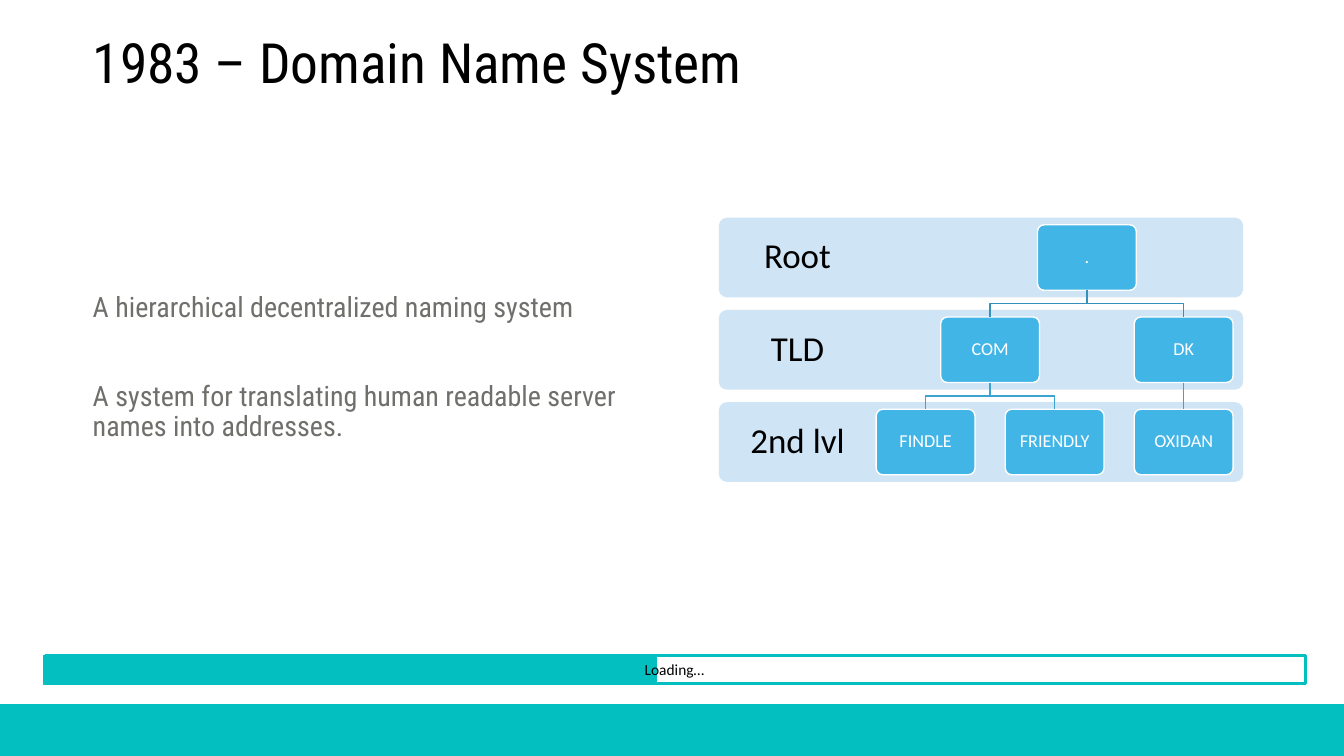
"""Build the Domain Name System slide with its name tree and loading bar."""
from dataclasses import dataclass

from pptx import Presentation
from pptx.dml.color import RGBColor
from pptx.enum.shapes import MSO_CONNECTOR, MSO_SHAPE
from pptx.enum.text import MSO_ANCHOR, PP_ALIGN
from pptx.oxml.ns import qn
from pptx.util import Inches, Pt

TITLE = "1983 – Domain Name System"
STATEMENTS = [
    "A hierarchical decentralized naming system",
    "A system for translating human readable server names into addresses.",
]
LEVELS = ["Root", "TLD", "2nd lvl"]
NAME_TREE = (".", [
    ("COM", [("FINDLE", []), ("FRIENDLY", [])]),
    ("DK", [("OXIDAN", [])]),
])
LOADING = "Loading…"
LOADED_BLOCKS = 6


@dataclass(frozen=True)
class Theme:
    """Colours, fonts and type sizes."""
    teal: str = "04BFBF"
    band: str = "CFE5F6"
    node: str = "42B5E7"
    branches: tuple = ("3591B9", "3CA4D2")
    black: str = "000000"
    white: str = "FFFFFF"
    grey: str = "6F6F6C"
    heading_font: str = "Roboto Condensed"
    diagram_font: str = "Calibri"
    title_size: float = 39.6
    body_size: float = 20
    level_size: float = 25
    node_size: float = 13
    loading_size: float = 11


THEME = Theme()
BAND_LEFT, BAND_TOP, BAND_WIDTH, BAND_HEIGHT = 7.13, 2.16, 5.2, 0.79
LEVEL_PITCH, LEVEL_LABEL_WIDTH = 0.915, 1.56
NODE_WIDTH, NODE_HEIGHT = 0.98, 0.65
NODE_INSET = (BAND_HEIGHT - NODE_HEIGHT) / 2
FIRST_LEAF_CENTRE, LEAF_PITCH = 9.18, 1.28
BLOCK_LEFT, BLOCK_TOP, BLOCK_PITCH = 0.46, 6.51, 1.01

prs = Presentation()
prs.slide_width, prs.slide_height = Inches(13.33), Inches(7.5)
slide = prs.slides.add_slide(prs.slide_layouts[6])


def rgb(value):
    return RGBColor.from_string(value)


def add_box(place, fill=None, line=None, line_width=1.0, corner=None):
    kind = MSO_SHAPE.RECTANGLE if corner is None else MSO_SHAPE.ROUNDED_RECTANGLE
    box = slide.shapes.add_shape(kind, *map(Inches, place))
    box.shadow.inherit = False
    if corner is not None:
        box.adjustments[0] = corner
    if fill:
        box.fill.solid()
        box.fill.fore_color.rgb = rgb(fill)
    else:
        box.fill.background()
    if line:
        box.line.color.rgb = rgb(line)
        box.line.width = Pt(line_width)
    else:
        box.line.fill.background()
    return box


def write(shape, texts, font, size, color, insets, align=PP_ALIGN.CENTER,
          anchor=MSO_ANCHOR.MIDDLE, gap=0, spacing=0.9):
    frame = shape.text_frame
    frame.word_wrap = True
    frame.vertical_anchor = anchor
    (frame.margin_left, frame.margin_top,
     frame.margin_right, frame.margin_bottom) = map(Inches, insets)
    for index, text in enumerate(texts):
        paragraph = frame.add_paragraph() if index else frame.paragraphs[0]
        paragraph.alignment = align
        paragraph.line_spacing = spacing
        paragraph.space_before = Pt(gap if index else 0)
        run = paragraph.add_run()
        run.text = text
        run.font.name = font
        run.font.size = Pt(size)
        run.font.color.rgb = rgb(color)


def add_label(place, texts, *style, **options):
    label = slide.shapes.add_textbox(*map(Inches, place))
    write(label, texts, *style, **options)


def add_branch(parent, child, color):
    start_x, start_y = parent.left + parent.width // 2, parent.top + parent.height
    end_x, end_y = child.left + child.width // 2, child.top
    if abs(start_x - end_x) < Inches(0.01):
        branch = slide.shapes.add_connector(
            MSO_CONNECTOR.STRAIGHT, start_x, start_y, end_x, end_y)
        branch.begin_connect(parent, 2)
        branch.end_connect(child, 0)
        properties = branch._element.spPr
        properties.append(properties.makeelement(qn("a:effectLst"), {}))
    else:
        middle_y = (start_y + end_y) // 2
        elbow = slide.shapes.build_freeform(start_x, start_y)
        elbow.add_line_segments(
            [(start_x, middle_y), (end_x, middle_y), (end_x, end_y)], close=False)
        branch = elbow.convert_to_shape()
        branch.shadow.inherit = False
        branch.fill.background()
    branch.line.color.rgb = rgb(color)
    branch.line.width = Pt(1)


def add_names(name, children, leaf_centres, depth=0):
    """Draw a name above its children and return its box and centre."""
    drawn = [add_names(*child, leaf_centres, depth + 1) for child in children]
    centres = [centre for _, centre in drawn]
    centre = sum(centres) / len(centres) if centres else next(leaf_centres)
    top = BAND_TOP + depth * LEVEL_PITCH + NODE_INSET
    node = add_box((centre - NODE_WIDTH / 2, top, NODE_WIDTH, NODE_HEIGHT),
                   THEME.node, THEME.white, corner=0.1)
    write(node, [name], THEME.diagram_font, THEME.node_size, THEME.white, (0.05,) * 4)
    for child, _ in drawn:
        add_branch(node, child, THEME.branches[depth])
    return node, centre


add_box((0, 6.99, 13.33, 0.51), THEME.teal, THEME.teal)
add_label((0.92, 0.36, 10.16, 0.64), [TITLE], THEME.heading_font, THEME.title_size,
          THEME.black, (0, 0.05, 0.1, 0.05), align=PP_ALIGN.LEFT,
          anchor=MSO_ANCHOR.BOTTOM)
add_label((0.92, 1.27, 5.8, 5.49), STATEMENTS, THEME.heading_font, THEME.body_size,
          THEME.grey, (0, 0.05, 0.1, 0.78), align=PP_ALIGN.LEFT, gap=42)

for row, level in enumerate(LEVELS):
    band_top = BAND_TOP + row * LEVEL_PITCH
    add_box((BAND_LEFT, band_top, BAND_WIDTH, BAND_HEIGHT), THEME.band, corner=0.1)
    add_label((BAND_LEFT, band_top, LEVEL_LABEL_WIDTH, BAND_HEIGHT), [level],
              THEME.diagram_font, THEME.level_size, THEME.black, (0.19,) * 4)

add_names(*NAME_TREE, (FIRST_LEAF_CENTRE + i * LEAF_PITCH for i in range(3)))

add_box((0.45, 6.5, 12.5, 0.28), line=THEME.teal, line_width=2.25)
for block in range(LOADED_BLOCKS):
    add_box((BLOCK_LEFT + block * BLOCK_PITCH, BLOCK_TOP, 1, 0.26),
            THEME.teal, THEME.teal)
loading_bar = add_box((0.43, 6.5, 12.52, 0.29), line=THEME.teal, line_width=0.75)
write(loading_bar, [LOADING], THEME.diagram_font, THEME.loading_size, THEME.black,
      (0.1, 0.05, 0.1, 0.05), spacing=1.0)

prs.save("out.pptx")
